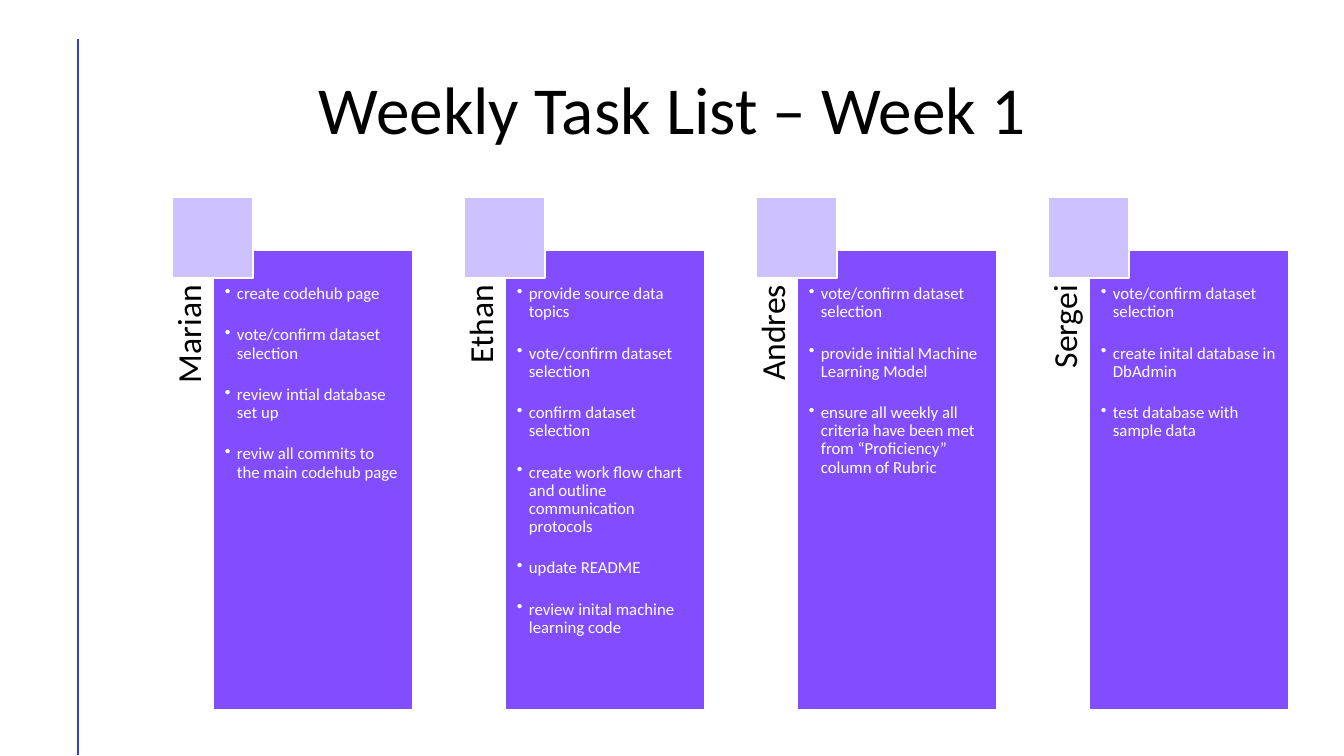
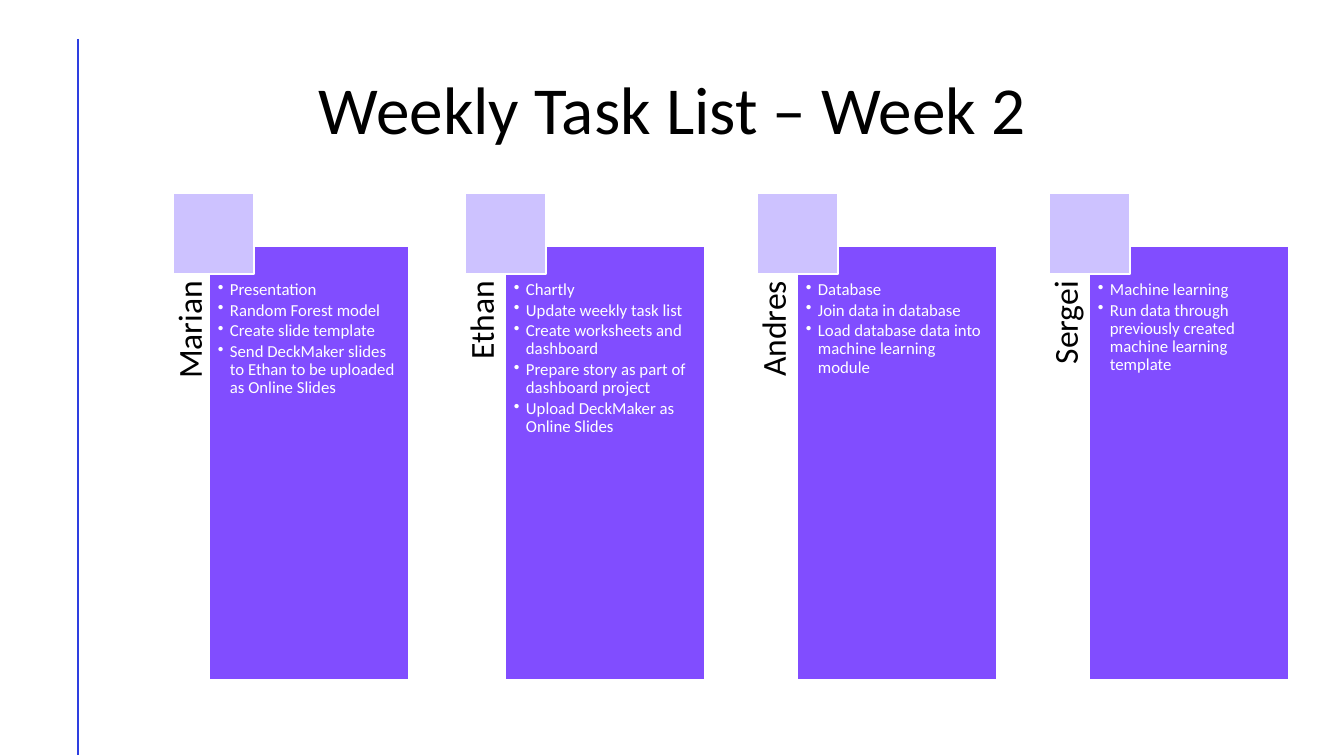
from pptx import Presentation
from pptx.dml.color import RGBColor
from pptx.enum.shapes import MSO_CONNECTOR, MSO_SHAPE
from pptx.enum.text import MSO_ANCHOR, PP_ALIGN
from pptx.oxml.ns import qn
from pptx.util import Emu, Pt
from lxml import etree

RECTANGLE, STRAIGHT = MSO_SHAPE.RECTANGLE, MSO_CONNECTOR.STRAIGHT
TOP, MIDDLE = MSO_ANCHOR.TOP, MSO_ANCHOR.MIDDLE
LEFT, CENTER, RIGHT = PP_ALIGN.LEFT, PP_ALIGN.CENTER, PP_ALIGN.RIGHT

# Shared style
EMU_PER_PIXEL = 914400 / 100.8
FONT = "Calibri"
BLACK, WHITE, RULE_BLUE = "000000", "FFFFFF", "2E3FE0"
PANEL_PURPLE, SQUARE_LILAC = "814DFF", "CDC2FF"
COLUMN_PITCH, PANEL_LEFT, PANEL_WIDTH = 292, 213, 200
SQUARE_SIZE, LABEL_HEIGHT, TEXT_TOP = 81, 40, 35
BULLET_INDENT = 12

TITLE = {"size": 48, "color": BLACK, "align": CENTER, "anchor": MIDDLE,
         "insets": (10, 5, 10, 5)}
LABEL = {"size": 24, "color": BLACK, "align": RIGHT, "anchor": TOP,
         "insets": (0, 0, TEXT_TOP, 0)}
TASKS = {"size": 12, "color": WHITE, "align": LEFT, "anchor": TOP}


def px(pixels):
    return Emu(round(pixels * EMU_PER_PIXEL))


def write(shape, lines, style, gap=0, bullets=False):
    frame = shape.text_frame
    margins = ("margin_left", "margin_top", "margin_right", "margin_bottom")
    settings = dict(zip(margins, map(px, style["insets"])))
    settings.update(word_wrap=True, vertical_anchor=style["anchor"])
    for name, value in settings.items():
        setattr(frame, name, value)
    frame.text = "\n".join(lines)
    for paragraph in frame.paragraphs:
        for name, value in {"alignment": style["align"], "line_spacing": 0.9,
                            "space_after": Pt(gap)}.items():
            setattr(paragraph, name, value)
        font = paragraph.font
        font.name, font.size = FONT, Pt(style["size"])
        font.color.rgb = RGBColor.from_string(style["color"])
        if bullets:
            properties = paragraph._p.get_or_add_pPr()
            properties.set("marL", str(px(BULLET_INDENT)))
            properties.set("indent", str(-px(BULLET_INDENT)))
            bullet = etree.Element(qn("a:buChar"), char="•")
            properties.insert_element_before(bullet, "a:tabLst", "a:defRPr")


# Content of each week
weeks = [
    {
        "title": "Weekly Task List – Week 1",
        "panel_top": 250, "panel_height": 460, "first_panel_shift": 0,
        "square_left": 172, "square_top": 197, "inset": 12, "gap": 16.6,
        "people": {
            "Marian": ["create codehub page", "vote/confirm dataset selection",
                       "review intial database set up",
                       "reviw all commits to the main codehub page"],
            "Ethan": ["provide source data topics",
                      "vote/confirm dataset selection",
                      "confirm dataset selection",
                      "create work flow chart and outline communication protocols",
                      "update README", "review inital machine learning code"],
            "Andres": ["vote/confirm dataset selection",
                       "provide initial Machine Learning Model",
                       "ensure all weekly all criteria have been met from "
                       "“Proficiency” column of Rubric"],
            "Sergei": ["vote/confirm dataset selection",
                       "create inital database in DbAdmin",
                       "test database with sample data"],
        },
    },
    {
        "title": "Weekly Task List – Week 2",
        "panel_top": 246, "panel_height": 434, "first_panel_shift": -4,
        "square_left": 173, "square_top": 193, "inset": 9, "gap": 1.8,
        "people": {
            "Marian": ["Presentation", "Random Forest model",
                       "Create slide template",
                       "Send DeckMaker slides to Ethan to be uploaded "
                       "as Online Slides"],
            "Ethan": ["Chartly", "Update weekly task list",
                      "Create worksheets and dashboard",
                      "Prepare story as part of dashboard project",
                      "Upload DeckMaker as Online Slides"],
            "Andres": ["Database", "Join data in database",
                       "Load database data into machine learning module"],
            "Sergei": ["Machine learning",
                       "Run data through previously created machine "
                       "learning template"],
        },
    },
]

presentation = Presentation()
presentation.slide_width, presentation.slide_height = px(1344), px(756)

for week in weeks:
    slide = presentation.slides.add_slide(presentation.slide_layouts[6])
    shapes = slide.shapes

    # Vertical rule and title
    rule = shapes.add_connector(STRAIGHT, px(78), px(39), px(78), px(755))
    rule.line.color.rgb = RGBColor.from_string(RULE_BLUE)
    rule.line.width = Pt(2)
    etree.SubElement(rule._element.spPr, qn("a:effectLst"))
    title = shapes.add_textbox(px(93), px(40), px(1159), px(146))
    write(title, [week["title"]], TITLE)

    # One column per person
    top, height, inset = week["panel_top"], week["panel_height"], week["inset"]
    task_style = {**TASKS, "insets": (inset, TEXT_TOP, inset, inset)}
    for column, (person, tasks) in enumerate(week["people"].items()):
        offset = column * COLUMN_PITCH
        square_left = week["square_left"] + offset
        panel_left = PANEL_LEFT + offset
        if column == 0:
            panel_left += week["first_panel_shift"]

        # Name, turned to read upwards beside the panel
        label = shapes.add_textbox(
            px(square_left + (LABEL_HEIGHT - height) / 2),
            px(top + (height - LABEL_HEIGHT) / 2), px(height), px(LABEL_HEIGHT))
        label.rotation = 270
        write(label, [person], LABEL)

        # Task panel, with the square over its corner
        panel = shapes.add_shape(RECTANGLE, px(panel_left), px(top),
                                 px(PANEL_WIDTH), px(height))
        write(panel, tasks, task_style, week["gap"], bullets=True)
        square = shapes.add_shape(RECTANGLE, px(square_left),
                                  px(week["square_top"]),
                                  px(SQUARE_SIZE), px(SQUARE_SIZE))
        for shape, color in ((panel, PANEL_PURPLE), (square, SQUARE_LILAC)):
            shape.shadow.inherit = False
            shape.fill.solid()
            shape.fill.fore_color.rgb = RGBColor.from_string(color)
            shape.line.color.rgb = RGBColor.from_string(WHITE)
            shape.line.width = Pt(1)

presentation.save("out.pptx")
